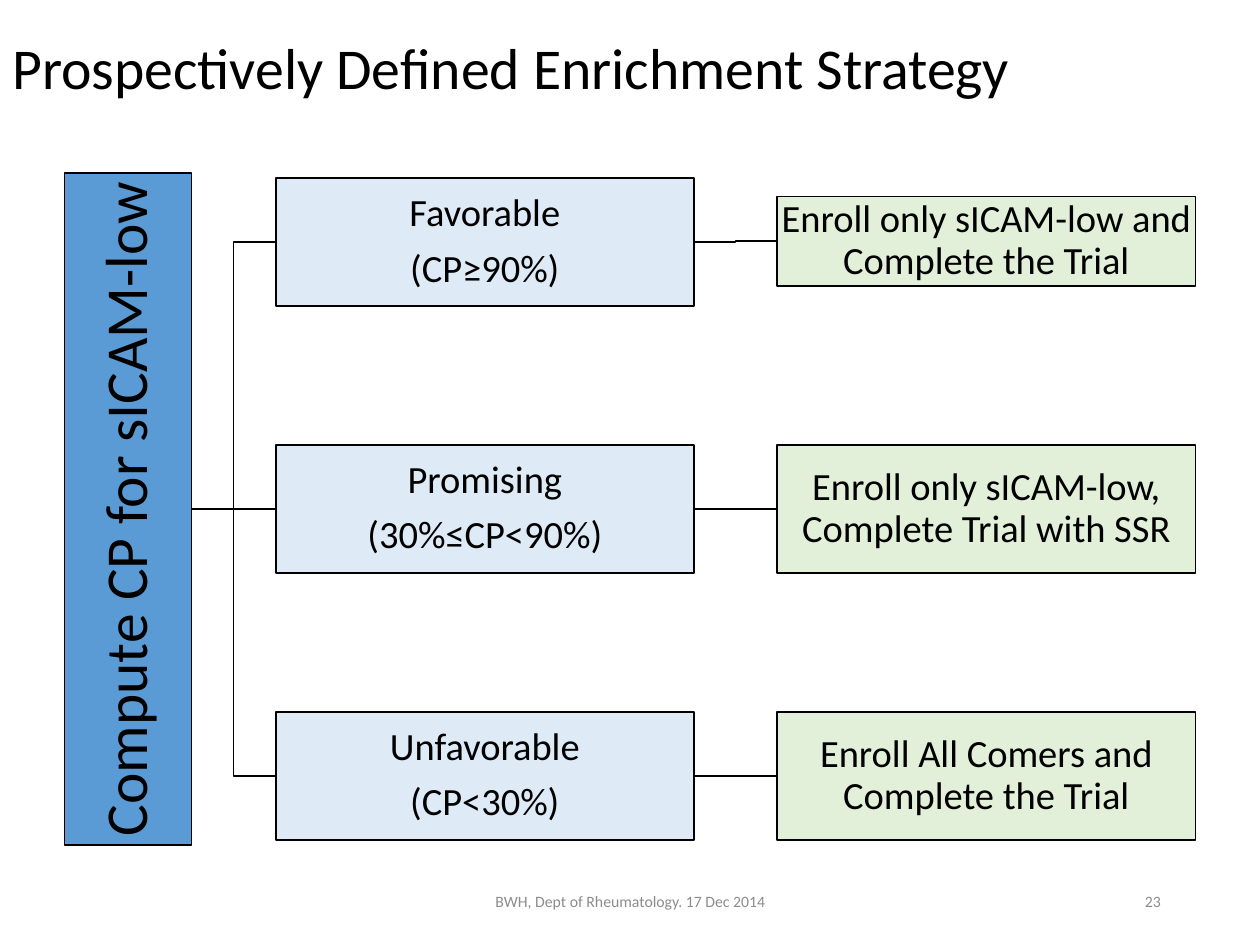
from pptx import Presentation
from pptx.dml.color import RGBColor
from pptx.enum.shapes import MSO_CONNECTOR as Link, MSO_SHAPE as Shape
from pptx.enum.text import MSO_ANCHOR as Anchor, PP_ALIGN as Align
from pptx.oxml.ns import qn
from pptx.util import Cm, Pt
from lxml import etree

BLACK = RGBColor(0x00, 0x00, 0x00)
GREY = RGBColor(0x8C, 0x8C, 0x8C)
BLUE = RGBColor(0x5B, 0x9B, 0xD5)
PALE_BLUE = RGBColor(0xDE, 0xEB, 0xF7)
PALE_GREEN = RGBColor(0xE2, 0xF0, 0xD9)

TOP, RIGHT_OF_BAR, LEFT, RIGHT = 0, 2, 1, 3
BAR_LEFT, BAR_WIDTH, BAR_HEIGHT = 1.3, 2.56, 13.54
ZONE_LEFT, ACTION_LEFT = 5.56, 15.67
BOX_WIDTH, BOX_HEIGHT = 8.43, 2.58
MIDDLE, ROW_PITCH = 10.26, 5.38

# zone, CP range, action, action centre offset, action height
ROWS = [
    ("Favorable", "(CP≥90%)", "Enroll only sICAM-low and Complete the Trial", -0.02, 1.8),
    ("Promising", "(30%≤CP<90%)", "Enroll only sICAM-low, Complete Trial with SSR", 0, BOX_HEIGHT),
    ("Unfavorable", "(CP<30%)", "Enroll All Comers and Complete the Trial", 0, BOX_HEIGHT),
]


def write(frame, lines, size, color, align, line_spacing=None, space_after=None):
    frame.word_wrap = True
    frame.vertical_anchor = Anchor.MIDDLE
    for index, line in enumerate(lines):
        paragraph = frame.add_paragraph() if index else frame.paragraphs[0]
        paragraph.alignment = align
        paragraph.line_spacing = line_spacing
        paragraph.space_after = space_after
        run = paragraph.add_run()
        run.text = line
        run.font.name = "Calibri"
        run.font.size = Pt(size)
        run.font.color.rgb = color


def add_label(slide, left, top, width, height, text, size, color, align, line_spacing=None):
    label = slide.shapes.add_textbox(Cm(left), Cm(top), Cm(width), Cm(height))
    write(label.text_frame, [text], size, color, align, line_spacing)


def add_box(slide, left, center, width, height, lines, fill, size=22):
    """Add an outlined box whose vertical middle lies at center."""
    box = slide.shapes.add_shape(
        Shape.RECTANGLE, Cm(left), Cm(center - height / 2), Cm(width), Cm(height))
    box.shadow.inherit = False
    box.fill.solid()
    box.fill.fore_color.rgb = fill
    box.line.color.rgb = BLACK
    box.line.width = Pt(1)
    frame = box.text_frame
    frame.margin_left = frame.margin_right = Cm(0.05)
    frame.margin_top = frame.margin_bottom = Cm(0.05)
    write(frame, lines, size, BLACK, Align.CENTER, 0.9, Pt(size * 0.35))
    return box


def add_link(slide, kind, source, source_site, target, start, end):
    link = slide.shapes.add_connector(kind, 0, 0, 0, 0)
    link.begin_connect(source, source_site)
    link.end_connect(target, LEFT)
    # The turned bar keeps its unturned frame, so the ends are set explicitly
    link.begin_x, link.begin_y = (Cm(value) for value in start)
    link.end_x, link.end_y = (Cm(value) for value in end)
    link.line.color.rgb = BLACK
    link.line.width = Pt(1)
    etree.SubElement(link._element.spPr, qn("a:effectLst"))


def add_tree(slide):
    bar_right = BAR_LEFT + BAR_WIDTH
    bar_center = BAR_LEFT + BAR_WIDTH / 2
    bar = add_box(slide, bar_center - BAR_HEIGHT / 2, MIDDLE, BAR_HEIGHT, BAR_WIDTH,
                  ["Compute CP for sICAM-low"], BLUE, 34)
    bar.rotation = 270

    for row, (zone_name, cp_range, action_text, offset, height) in enumerate(ROWS):
        center = MIDDLE + (row - 1) * ROW_PITCH
        zone = add_box(slide, ZONE_LEFT, center, BOX_WIDTH, BOX_HEIGHT,
                       [zone_name, cp_range], PALE_BLUE)
        action = add_box(slide, ACTION_LEFT, center + offset, BOX_WIDTH, height,
                         [action_text], PALE_GREEN)
        add_link(slide, Link.STRAIGHT if center == MIDDLE else Link.ELBOW,
                 bar, RIGHT_OF_BAR, zone, (bar_right, MIDDLE), (ZONE_LEFT, center))
        add_link(slide, Link.ELBOW if offset else Link.STRAIGHT, zone, RIGHT, action,
                 (ZONE_LEFT + BOX_WIDTH, center), (ACTION_LEFT, center + offset))


def main():
    deck = Presentation()
    deck.slide_width, deck.slide_height = Cm(25.4), Cm(19.05)
    slide = deck.slides.add_slide(deck.slide_layouts[6])
    add_tree(slide)
    add_label(slide, 0, 0.48, 22.38, 1.88, "Prospectively Defined Enrichment Strategy",
              33, BLACK, Align.LEFT, 0.9)
    add_label(slide, 8.41, 17.65, 8.59, 1.02, "BWH, Dept of Rheumatology. 17 Dec 2014",
              9, GREY, Align.CENTER)
    add_label(slide, 17.93, 17.65, 5.72, 1.02, "23", 9, GREY, Align.RIGHT)
    deck.save("out.pptx")


if __name__ == "__main__":
    main()
